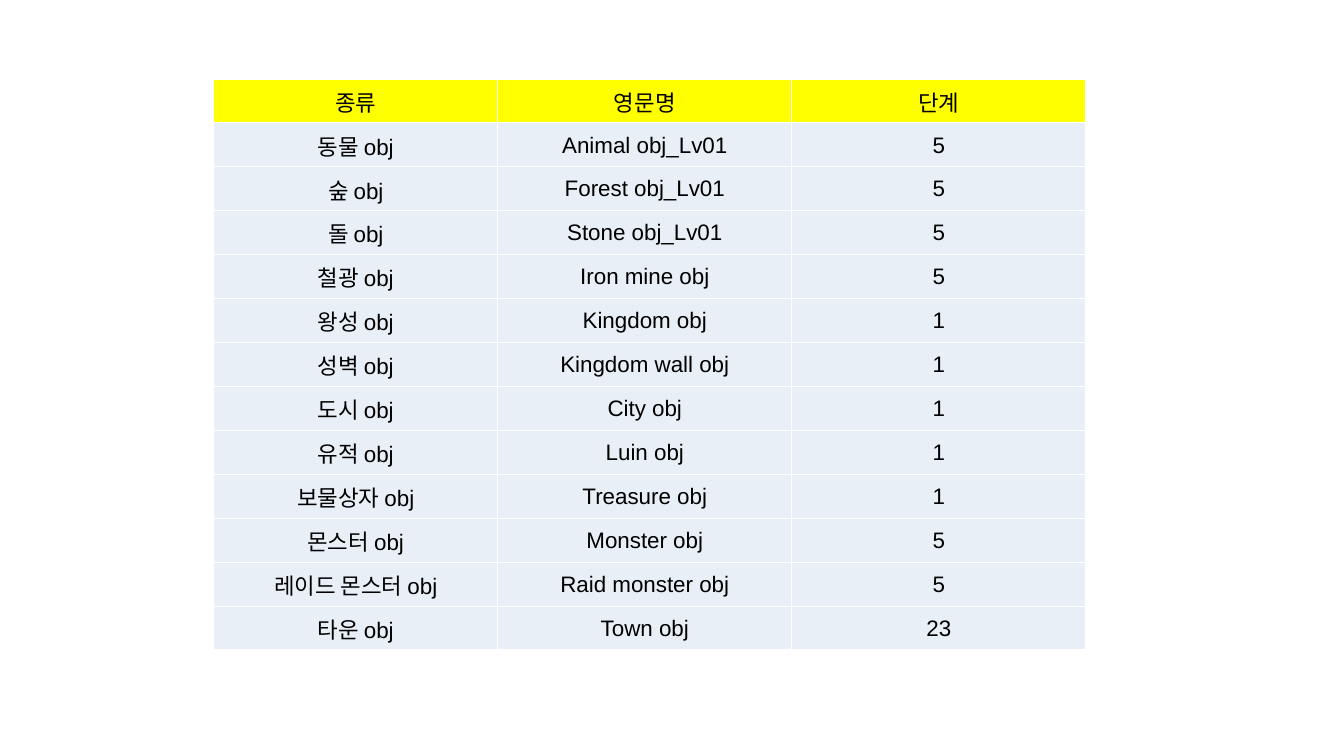
import lxml.etree
import pptx
import pptx.dml.color
import pptx.enum.text
import pptx.oxml.ns
import pptx.util

Pt = pptx.util.Pt
COLORS = {"header": "FFFF00", "body": "E9EFF7", "border": "FFFFFF", "text": "000000"}
COLUMN_WIDTHS = [203, 210, 210]
ROW_HEIGHT = 31.4
OBJECT_ROWS = [
    ("종류", "영문명", "단계"),
    ("동물 obj", "Animal obj_Lv01", "5"),
    ("숲 obj", "Forest obj_Lv01", "5"),
    ("돌 obj", "Stone obj_Lv01", "5"),
    ("철광 obj", "Iron mine obj", "5"),
    ("왕성 obj", "Kingdom obj", "1"),
    ("성벽 obj", "Kingdom wall obj", "1"),
    ("도시 obj", "City obj", "1"),
    ("유적 obj", "Luin obj", "1"),
    ("보물상자 obj", "Treasure obj", "1"),
    ("몬스터 obj", "Monster obj", "5"),
    ("레이드 몬스터 obj", "Raid monster obj", "5"),
    ("타운 obj", "Town obj", "23"),
]
CELL_FORMAT = {
    "margin_left": Pt(0.7),
    "margin_right": Pt(0.7),
    "margin_top": Pt(0.7),
    "margin_bottom": Pt(0),
    "vertical_anchor": pptx.enum.text.MSO_ANCHOR.MIDDLE,
}
FONT_FORMAT = {"name": "Arial", "size": Pt(16), "bold": False}


def add_borders(cell):
    """Draw a thin line on all four sides; call before the cell is filled."""
    qn = pptx.oxml.ns.qn
    properties = cell._tc.get_or_add_tcPr()
    for side in ("a:lnL", "a:lnR", "a:lnT", "a:lnB"):
        line = lxml.etree.SubElement(properties, qn(side), w=str(Pt(1)))
        fill = lxml.etree.SubElement(line, qn("a:solidFill"))
        lxml.etree.SubElement(fill, qn("a:srgbClr"), val=COLORS["border"])


deck = pptx.Presentation()
deck.slide_width, deck.slide_height = Pt(960), Pt(540)
page = deck.slides.add_slide(deck.slide_layouts[6])

table = page.shapes.add_table(
    len(OBJECT_ROWS), len(COLUMN_WIDTHS), Pt(152.6), Pt(56.4),
    Pt(sum(COLUMN_WIDTHS)), Pt(ROW_HEIGHT * len(OBJECT_ROWS)),
).table
for column, width in zip(table.columns, COLUMN_WIDTHS):
    column.width = Pt(width)

for row_index, values in enumerate(OBJECT_ROWS):
    table.rows[row_index].height = Pt(ROW_HEIGHT)
    fill_color = COLORS["body" if row_index else "header"]
    for column_index, value in enumerate(values):
        cell = table.cell(row_index, column_index)
        for name, setting in CELL_FORMAT.items():
            setattr(cell, name, setting)
        add_borders(cell)
        cell.fill.solid()
        cell.fill.fore_color.rgb = pptx.dml.color.RGBColor.from_string(fill_color)

        para = cell.text_frame.paragraphs[0]
        para.alignment = pptx.enum.text.PP_ALIGN.CENTER
        span = para.add_run()
        span.text = value
        for name, setting in FONT_FORMAT.items():
            setattr(span.font, name, setting)
        span.font.color.rgb = pptx.dml.color.RGBColor.from_string(COLORS["text"])

deck.save("out.pptx")
